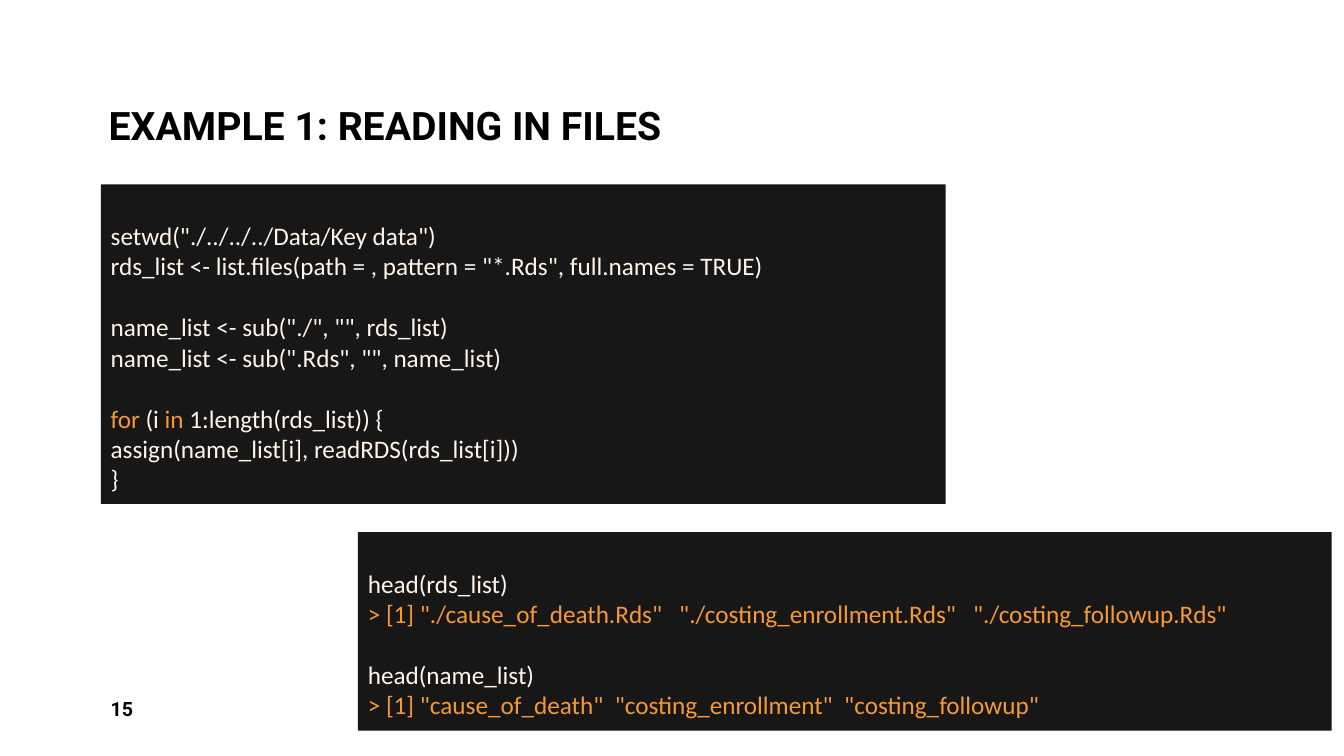
"""Build the slide on reading in files: a title, two code panels and a page number."""
from dataclasses import dataclass

from pptx import Presentation
from pptx.dml.color import RGBColor as Rgb
from pptx.enum import shapes, text
from pptx.util import Cm, Pt


@dataclass(frozen=True)
class Theme:
    head: str = "Roboto"
    code: str = "Calibri"
    ink: Rgb = Rgb(0x00, 0x00, 0x00)
    panel: Rgb = Rgb(0x18, 0x17, 0x17)
    cream: Rgb = Rgb(0xFE, 0xF4, 0xEA)
    amber: Rgb = Rgb(0xF4, 0x98, 0x38)
    title: Pt = Pt(28)
    body: Pt = Pt(18)
    page: Pt = Pt(14)
    line: Pt = Pt(22)


def style(font, name, size, color, bold=False):
    font.name, font.size, font.bold = name, size, bold
    font.color.rgb = color


theme = Theme()
deck = Presentation()
deck.slide_width, deck.slide_height = Cm(33.87), Cm(19.05)
slide = deck.slides.add_slide(deck.slide_layouts[6])

labels = [
    ("EXAMPLE 1: READING IN FILES", (2.49, 0.2, 28.91, 3.68),
     theme.title, text.MSO_ANCHOR.BOTTOM, 0.9),
    ("15", (2.54, 17.35, 7.42, 1.02), theme.page, text.MSO_ANCHOR.MIDDLE, 1.0),
]
for words, place, size, anchor, space in labels:
    frame = slide.shapes.add_textbox(*map(Cm, place)).text_frame
    frame.word_wrap = True
    frame.vertical_anchor = anchor
    para = frame.paragraphs[0]
    para.text = words
    para.line_spacing = space
    style(para.font, theme.head, size, theme.ink, True)

cream, amber = theme.cream, theme.amber
panels = [
    ((2.54, 4.65, 21.29, 8.05), [
        [[('setwd("./../../../Data/Key data")', cream)],
         [('rds_list <- list.files(path = , pattern = "*.Rds", full.names = TRUE)', cream)]],
        [[('name_list <- sub("./", "", rds_list)', cream)],
         [('name_list <- sub(".Rds", "", name_list)', cream)]],
        [[("for", amber), (" (i ", cream), ("in", amber),
          (" 1:length(rds_list)) {", cream)],
         [("assign(name_list[i], readRDS(rds_list[i]))", cream)],
         [("}", cream)]],
    ]),
    ((9.02, 13.41, 24.54, 5), [
        [[("head(rds_list)", cream)],
         [('> [1] "./cause_of_death.Rds"   "./costing_enrollment.Rds"   '
           '"./costing_followup.Rds"', amber)]],
        [[("head(name_list)", cream)],
         [('> [1] "cause_of_death"  "costing_enrollment"  "costing_followup"', amber)]],
    ]),
]
for place, blocks in panels:
    box = slide.shapes.add_shape(shapes.MSO_SHAPE.RECTANGLE, *map(Cm, place))
    box.shadow.inherit = False
    box.fill.solid()
    box.fill.fore_color.rgb = theme.panel
    box.line.fill.background()
    frame = box.text_frame
    frame.word_wrap = True
    frame.vertical_anchor = text.MSO_ANCHOR.TOP
    frame.margin_top = Cm(0.13) + theme.line
    for b, block in enumerate(blocks):
        for n, runs in enumerate(block):
            first = b == n == 0
            para = frame.paragraphs[0] if first else frame.add_paragraph()
            para.alignment = text.PP_ALIGN.LEFT
            if b and n == 0:
                para.space_before = theme.line
            style(para.font, theme.code, theme.body, runs[0][1])
            for words, color in runs:
                run = para.add_run()
                run.text = words
                if len(runs) > 1:
                    run.font.color.rgb = color

deck.save("out.pptx")
